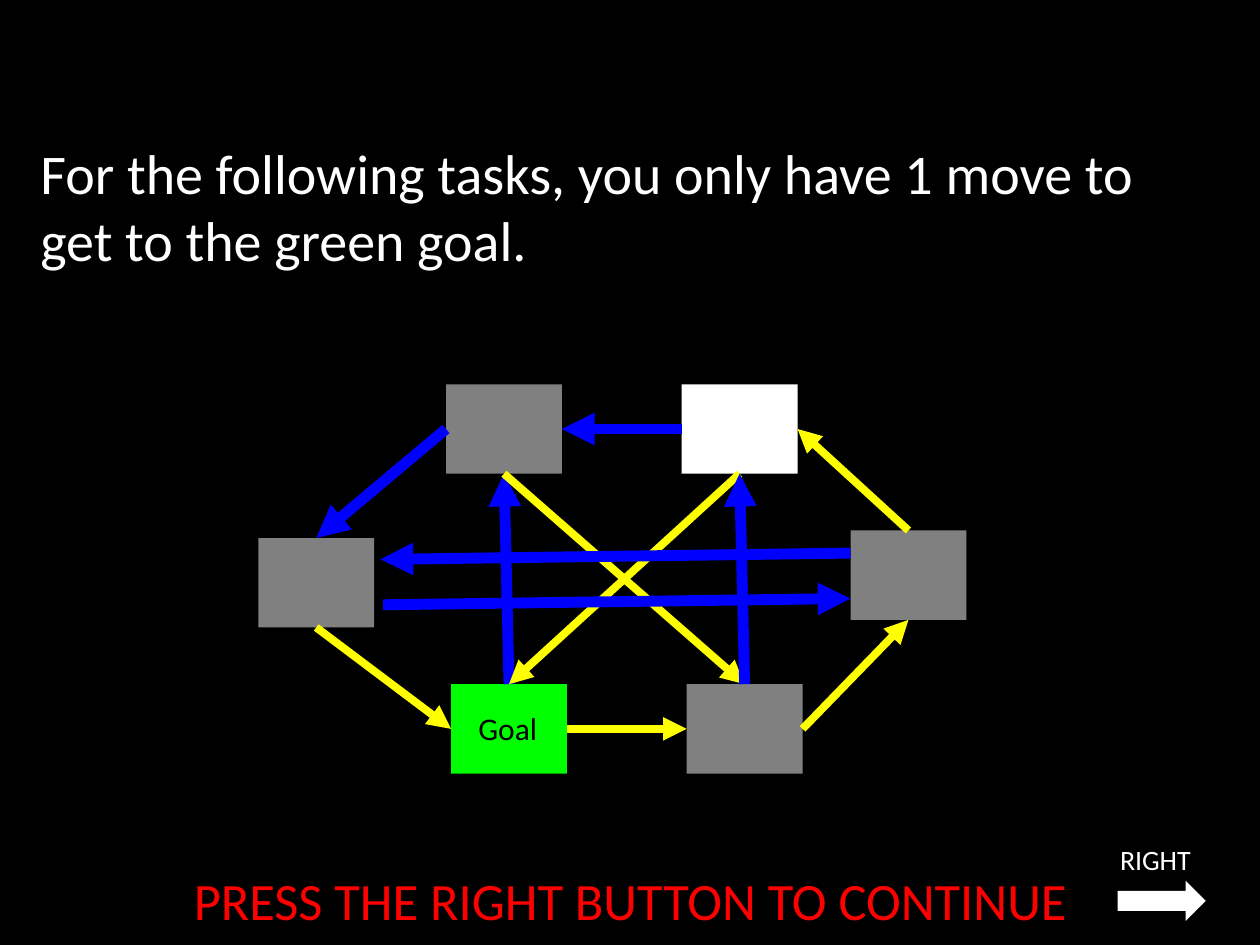
from dataclasses import dataclass
from enum import IntEnum

from lxml.etree import SubElement
from pptx import Presentation
from pptx.dml.color import RGBColor
from pptx.enum.shapes import MSO_CONNECTOR, MSO_SHAPE
from pptx.enum.text import MSO_ANCHOR, MSO_AUTO_SIZE, PP_ALIGN
from pptx.oxml.ns import qn
from pptx.util import Inches, Pt

FONT = "Calibri"
BLACK, WHITE, GRAY = "000000", "FFFFFF", "808080"
RED, GREEN, BLUE, YELLOW = "FF0000", "00FF00", "0000FF", "FFFF00"
NODE_WIDTH, NODE_HEIGHT = 0.92, 0.71
LINE_WIDTHS = {BLUE: 6.25, YELLOW: 4.5}


class Side(IntEnum):
    """Connection sites of a rectangle."""
    TOP = 0
    LEFT = 1
    BOTTOM = 2
    RIGHT = 3


@dataclass
class Node:
    name: str
    left: float
    top: float
    color: str


@dataclass
class Move:
    start: str
    start_side: Side
    end: str
    end_side: Side
    color: str


NODES = [
    Node("top left", 3.54, 3.05, GRAY),
    Node("top right", 5.41, 3.05, WHITE),
    Node("right", 6.75, 4.21, GRAY),
    Node("left", 2.05, 4.27, GRAY),
    Node("goal", 3.58, 5.43, GREEN),
    Node("bottom right", 5.45, 5.43, GRAY),
]

MOVES = [
    Move("top left", Side.LEFT, "left", Side.TOP, BLUE),
    Move("left", Side.BOTTOM, "goal", Side.LEFT, YELLOW),
    Move("goal", Side.TOP, "top left", Side.BOTTOM, BLUE),
    Move("goal", Side.RIGHT, "bottom right", Side.LEFT, YELLOW),
    Move("bottom right", Side.RIGHT, "right", Side.BOTTOM, YELLOW),
    Move("right", Side.TOP, "top right", Side.RIGHT, YELLOW),
    Move("top right", Side.LEFT, "top left", Side.RIGHT, BLUE),
    Move("top right", Side.BOTTOM, "goal", Side.TOP, YELLOW),
    Move("top left", Side.BOTTOM, "bottom right", Side.TOP, YELLOW),
    Move("bottom right", Side.TOP, "top right", Side.BOTTOM, BLUE),
]

# Long blue moves between the left and right squares
CROSSINGS = [((6.75, 4.39), (3.02, 4.44)), ((3.04, 4.8), (6.75, 4.75))]


def rgb(color: str) -> RGBColor:
    return RGBColor.from_string(color)


def place(shape, left: float, top: float, width: float, height: float) -> None:
    shape.left, shape.top = Inches(left), Inches(top)
    shape.width, shape.height = Inches(width), Inches(height)


def write(shape, text: str, size: float, color: str, align=PP_ALIGN.CENTER,
          anchor=MSO_ANCHOR.TOP, auto_size=MSO_AUTO_SIZE.NONE) -> None:
    frame = shape.text_frame
    frame.word_wrap = True
    frame.auto_size = auto_size
    frame.vertical_anchor = anchor
    paragraph = frame.paragraphs[0]
    paragraph.alignment = align
    paragraph.space_before = Pt(0)
    run = paragraph.add_run()
    run.text = text
    run.font.name, run.font.size = FONT, Pt(size)
    run.font.color.rgb = rgb(color)


def add_label(slide, box: tuple, text: str, size: float, color: str, **options) -> None:
    write(slide.shapes.add_textbox(*map(Inches, box)), text, size, color, **options)


def add_filled(slide, kind, box: tuple, color: str):
    shape = slide.shapes.add_shape(kind, *map(Inches, box))
    shape.shadow.inherit = False
    shape.fill.solid()
    shape.fill.fore_color.rgb = rgb(color)
    shape.line.fill.background()
    return shape


def add_arrow(slide, color: str, start: tuple = (0, 0), end: tuple = (0, 0)):
    arrow = slide.shapes.add_connector(
        MSO_CONNECTOR.STRAIGHT, *map(Inches, (*start, *end)))
    arrow.line.color.rgb = rgb(color)
    arrow.line.width = Pt(LINE_WIDTHS[color])
    SubElement(arrow.line._get_or_add_ln(), qn("a:tailEnd"), type="triangle")
    SubElement(arrow._element.spPr, qn("a:effectLst"))
    return arrow


def main() -> None:
    presentation = Presentation()
    presentation.slide_width, presentation.slide_height = Inches(10), Inches(7.5)
    slide = presentation.slides.add_slide(
        presentation.slide_layouts.get_by_name("Title and Content"))
    slide.background.fill.solid()
    slide.background.fill.fore_color.rgb = rgb(BLACK)

    # Instruction in the body placeholder, without a title or bullet
    title = slide.shapes.title._element
    title.getparent().remove(title)
    body = slide.placeholders[1]
    place(body, 0.22, 1.05, 9.55, 2.06)
    properties = body.text_frame.paragraphs[0]._p.get_or_add_pPr()
    properties.set("marL", "0")
    properties.set("indent", "0")
    SubElement(properties, qn("a:buNone"))
    write(body, "For the following tasks, you only have 1 move to get to the green goal.",
          32, WHITE, align=PP_ALIGN.LEFT)

    # Prompt to continue
    add_label(slide, (0, 6.78, 10.01, 0.72), "PRESS THE RIGHT BUTTON TO CONTINUE",
              30, RED, anchor=MSO_ANCHOR.MIDDLE)
    add_label(slide, (8.33, 6.64, 1.68, 0.88), "RIGHT", 16, WHITE)
    add_filled(slide, MSO_SHAPE.RIGHT_ARROW, (8.87, 6.99, 0.7, 0.32), WHITE)

    # Squares
    squares = {
        node.name: add_filled(slide, MSO_SHAPE.RECTANGLE,
                              (node.left, node.top, NODE_WIDTH, NODE_HEIGHT), node.color)
        for node in NODES
    }

    # Moves between squares
    for move in MOVES:
        arrow = add_arrow(slide, move.color)
        arrow.begin_connect(squares[move.start], move.start_side)
        arrow.end_connect(squares[move.end], move.end_side)
    for start, end in CROSSINGS:
        add_arrow(slide, BLUE, start, end)

    # Goal label
    add_label(slide, (3.58, 5.58, 0.9, 0.4), "Goal", 18, BLACK,
              auto_size=MSO_AUTO_SIZE.SHAPE_TO_FIT_TEXT)

    presentation.save("out.pptx")


if __name__ == "__main__":
    main()
